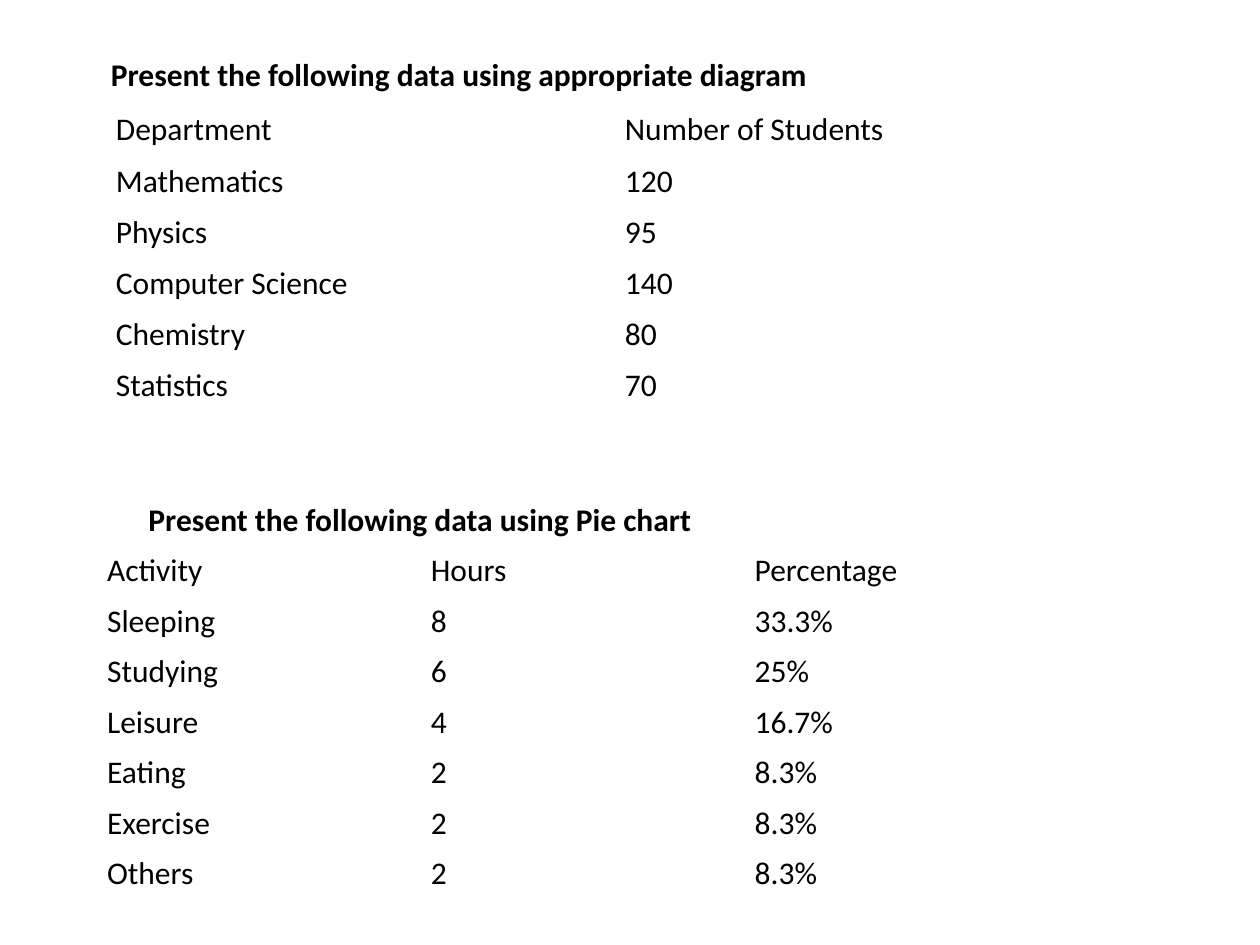
from pptx import Presentation
from pptx.dml.color import RGBColor
from pptx.enum.text import MSO_ANCHOR, PP_ALIGN
from pptx.util import Inches, Pt

LEFT = PP_ALIGN.LEFT
TOP = MSO_ANCHOR.TOP
MIDDLE = MSO_ANCHOR.MIDDLE

CELL = 0.1  # inches per grid column and row
ROW_HEIGHT = 4
TITLE_ONLY = 5

DEPARTMENTS = [
    ("Department", "Number of Students"),
    ("Mathematics", "120"),
    ("Physics", "95"),
    ("Computer Science", "140"),
    ("Chemistry", "80"),
    ("Statistics", "70"),
]
ACTIVITIES = [
    ("Activity", "Hours", "Percentage"),
    ("Sleeping", "8", "33.3%"),
    ("Studying", "6", "25%"),
    ("Leisure", "4", "16.7%"),
    ("Eating", "2", "8.3%"),
    ("Exercise", "2", "8.3%"),
    ("Others", "2", "8.3%"),
]


def color(hex_string):
    return RGBColor.from_string(hex_string)


def grid(units):
    return Inches(units * CELL)


class SlideBuilder:
    """Holds the text style and the current slide; lengths are grid units."""

    font_name = "Calibri"
    font_size = 18
    text_color = "000000"

    def __init__(self, slide):
        self.slide = slide

    def set_text(self, text_frame, text, bold=False):
        text_frame.text = text
        paragraph = text_frame.paragraphs[0]
        paragraph.alignment = LEFT
        font = paragraph.runs[0].font
        font.name = self.font_name
        font.size = Pt(self.font_size)
        font.bold = bold
        font.color.rgb = color(self.text_color)

    def heading(self, shape, text, left, top, width):
        shape.left, shape.top = grid(left), grid(top)
        shape.width, shape.height = grid(width), grid(ROW_HEIGHT)
        text_frame = shape.text_frame
        text_frame.word_wrap = True
        text_frame.vertical_anchor = TOP
        self.set_text(text_frame, text, bold=True)

    def title(self, text, left, top, width):
        self.heading(self.slide.shapes.title, text, left, top, width)

    def subheading(self, text, left, top, width):
        box = self.slide.shapes.add_textbox(0, 0, 0, 0)
        self.heading(box, text, left, top, width)

    def plain_table(self, records, left, top, column_width):
        row_count, column_count = len(records), len(records[0])
        table = self.slide.shapes.add_table(
            row_count, column_count, grid(left), grid(top),
            grid(column_width * column_count), grid(ROW_HEIGHT * row_count),
        ).table
        table.first_row = False
        table.horz_banding = False
        for row, record in zip(table.rows, records):
            for cell, text in zip(row.cells, record):
                cell.fill.background()
                cell.vertical_anchor = MIDDLE
                self.set_text(cell.text_frame, text)


def main():
    presentation = Presentation()
    presentation.slide_width = Inches(10)
    presentation.slide_height = Inches(7.5)
    layout = presentation.slide_layouts[TITLE_ONLY]
    builder = SlideBuilder(presentation.slides.add_slide(layout))

    builder.title("Present the following data using appropriate diagram", 7.8, 3.9, 58.3)
    builder.plain_table(DEPARTMENTS, 8.2, 8.3, 40.4)
    builder.subheading("Present the following data using Pie chart", 10.8, 39.2, 45.5)
    builder.plain_table(ACTIVITIES, 7.5, 43.3, 25.7)

    presentation.save("out.pptx")


if __name__ == "__main__":
    main()
